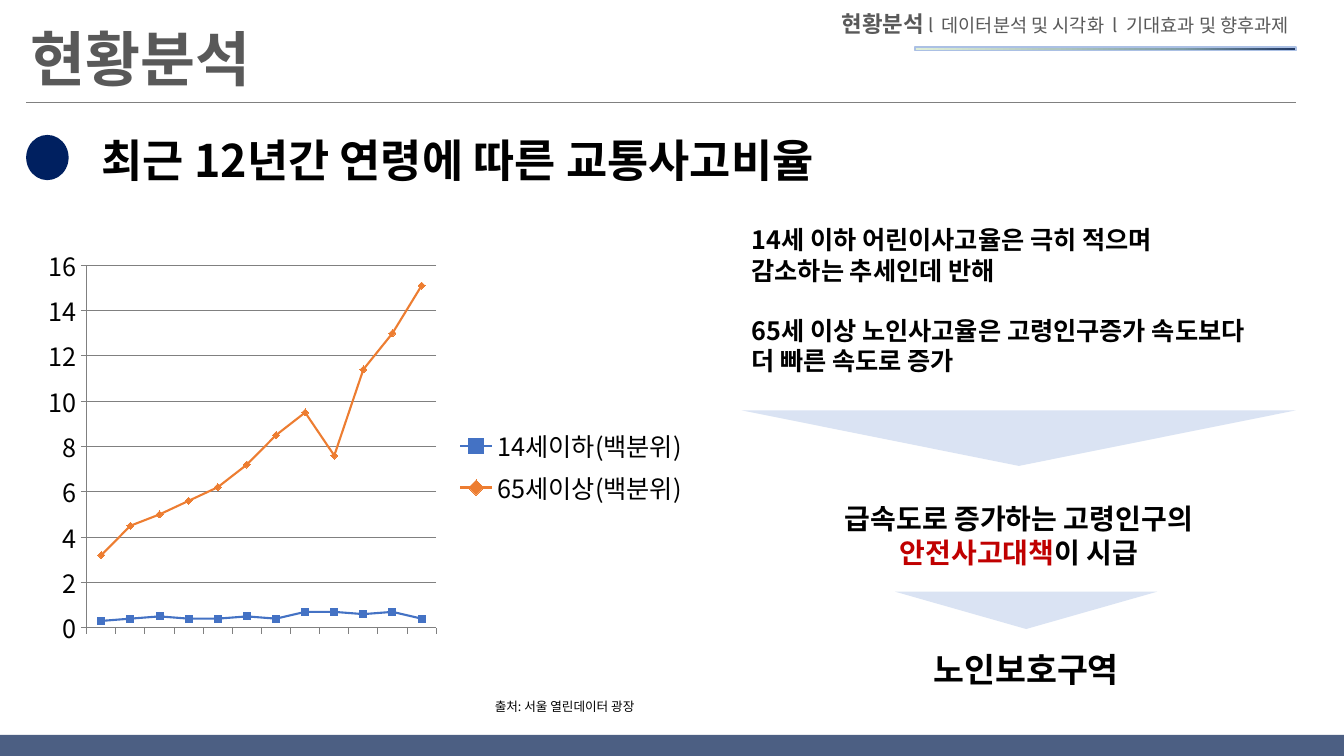
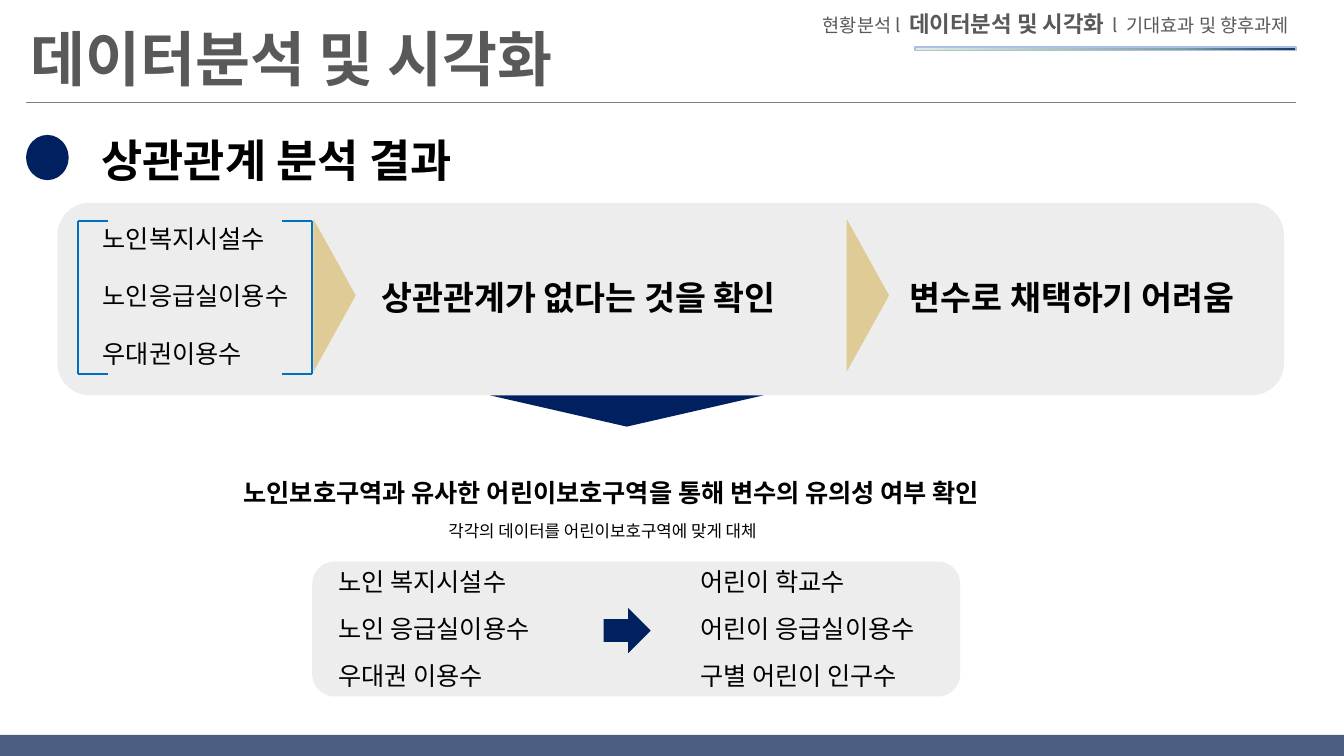
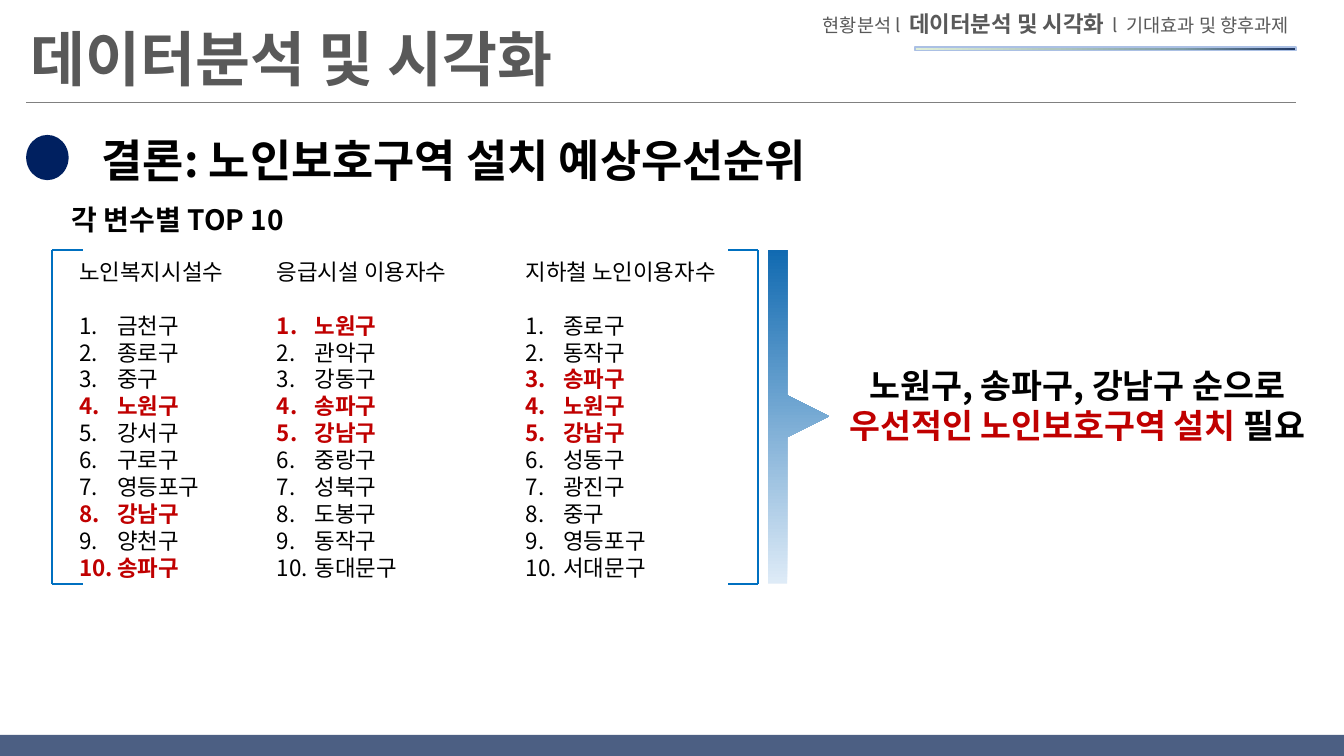
"""Build three slides on traffic accidents and senior protection zones."""
from lxml.etree import SubElement
from pptx import Presentation
from pptx.chart.data import CategoryChartData
from pptx.dml.color import RGBColor
from pptx.enum.chart import XL_CHART_TYPE, XL_LEGEND_POSITION, XL_MARKER_STYLE, XL_TICK_LABEL_POSITION, XL_TICK_MARK
from pptx.enum.shapes import MSO_CONNECTOR, MSO_SHAPE
from pptx.enum.text import MSO_ANCHOR, MSO_AUTO_SIZE, PP_ALIGN
from pptx.oxml.ns import qn
from pptx.util import Cm, Pt

FONT = "Noto Sans CJK KR"
COLORS = {
    "black": "000000", "title": "595959", "rule": "808080", "navy": "002060", "band": "203864",
    "red": "C00000", "pale": "DAE3F3", "panel": "EDEDED", "sand": "DFCB96", "bracket": "0070C0",
    "bar_line": "ABC0E4", "arrow_light": "DEEBF7", "arrow_dark": "116AB1",
    "children": "4472C4", "seniors": "ED7D31",
}
RGB = {name: RGBColor.from_string(value) for name, value in COLORS.items()}
BAR_STOPS = [(0, "203864"), (30, "7F9EA8"), (63, "AFC6BF"), (100, "DFEED6")]


def write(s, box, paras, size, bold=False, align=PP_ALIGN.LEFT, sp=None):
    """Fill a text box or placeholder; a run is (text, colour, bold, size)."""
    sp = sp or s.shapes.add_textbox(0, 0, 0, 0)
    sp.left, sp.top, sp.width, sp.height = map(Cm, box)
    tf = sp.text_frame
    tf.word_wrap, tf.auto_size = True, MSO_AUTO_SIZE.NONE
    tf.vertical_anchor = MSO_ANCHOR.TOP
    for i, runs in enumerate(paras):
        p = tf.add_paragraph() if i else tf.paragraphs[0]
        p.alignment, p.line_spacing = align, Pt(round(size * 1.2, 1))
        for run in runs:
            txt, color, strong, pts = run + ("black", bold, size)[len(run) - 1:]
            r = p.add_run()
            r.text = txt
            r.font.name, r.font.size, r.font.bold = FONT, Pt(pts), strong
            r.font.color.rgb = RGB[color]
            SubElement(r.font._element, qn("a:ea"), typeface=FONT)
    return tf


def shape(s, kind, box, color, rotation=0):
    """Add a plain filled shape."""
    sp = s.shapes.add_shape(kind, *map(Cm, box))
    sp.shadow.inherit = False
    sp.fill.solid()
    sp.fill.fore_color.rgb = RGB[color]
    sp.line.fill.background()
    sp.rotation = rotation
    return sp


prs = Presentation()
prs.slide_width, prs.slide_height = Cm(33.87), Cm(19.05)

sections = [("현황분석", " l  "), ("데이터분석 및 시각화", "  l  "), ("기대효과 및 향후과제", "")]
pages = [
    (0, 11.86, "최근 12년간 연령에 따른 교통사고비율"),
    (1, 17.17, "상관관계 분석 결과"),
    (1, 17.17, "결론: 노인보호구역 설치 예상우선순위"),
]
slides, lines = [], []
for active, title_width, heading in pages:
    s = prs.slides.add_slide(prs.slide_layouts[5])
    slides.append(s)
    title = sections[active][0]
    write(s, (0.51, 0.43, title_width, 2.08), [[(title, "title")]], 42.7, True, sp=s.shapes.title)
    lines.append((s, 0.66, 2.57, 32.66, 2.57, "rule", 0.5))

    band = shape(s, MSO_SHAPE.RECTANGLE, (0, 18.52, 33.87, 0.53), "band")
    SubElement(band._element.spPr.find(".//" + qn("a:srgbClr")), qn("a:alpha"), val="80000")

    bar = shape(s, MSO_SHAPE.RECTANGLE, (23.06, 1.19, 9.6, 0.08), "band")
    bar.line.color.rgb, bar.line.width = RGB["bar_line"], Pt(1)
    bar.fill.gradient()
    bar.fill.gradient_angle = 180
    stops = bar._element.spPr.find(".//" + qn("a:gsLst"))
    for stop in list(stops):
        stops.remove(stop)
    for pos, value in BAR_STOPS:
        SubElement(SubElement(stops, qn("a:gs"), pos=str(pos * 1000)), qn("a:srgbClr"), val=value)

    crumbs = []
    for i, (name, separator) in enumerate(sections):
        crumbs.append((name, "title", i == active, 16 if i == active else 13.3))
        if separator:
            crumbs.append((separator, "title", False, 13.3))
    write(s, (0.66, 0.13, 32.08, 0.94), [crumbs], 16, align=PP_ALIGN.RIGHT)

    shape(s, MSO_SHAPE.FLOWCHART_CONNECTOR, (0.66, 3.4, 1.07, 1.14), "navy")
    write(s, (2.31, 3.23, 21.2, 1.63), [[(heading,)]], 32, True)

s1, s2, s3 = slides

findings = ["14세 이하 어린이사고율은 극히 적으며", "감소하는 추세인데 반해",
            "65세 이상 노인사고율은 고령인구증가 속도보다", "더 빠른 속도로 증가"]
tf = write(s1, (18.69, 5.54, 14.33, 4.88), [[(line,)] for line in findings], 18, True)
tf.paragraphs[1].space_after = Pt(21.6)

data = CategoryChartData()
data.categories = [""] * 12
data.add_series("14세이하(백분위)", [0.3, 0.4, 0.5, 0.4, 0.4, 0.5, 0.4, 0.7, 0.7, 0.6, 0.7, 0.4])
data.add_series("65세이상(백분위)", [3.2, 4.5, 5, 5.6, 6.2, 7.2, 8.5, 9.5, 7.6, 11.4, 13, 15.1])
chart = s1.shapes.add_chart(XL_CHART_TYPE.LINE_MARKERS, Cm(0.66), Cm(6.12), Cm(16.94), Cm(11.28), data).chart
chart.has_title = False
chart.font.name, chart.font.size, chart.font.color.rgb = FONT, Pt(18), RGB["black"]
SubElement(chart.font._element, qn("a:ea"), typeface=FONT)
chart.has_legend = True
chart.legend.position, chart.legend.include_in_layout = XL_LEGEND_POSITION.RIGHT, False
for axis in (chart.category_axis, chart.value_axis):
    axis.major_tick_mark = XL_TICK_MARK.OUTSIDE
    axis.format.line.color.rgb = RGB["rule"]
chart.category_axis.tick_label_position = XL_TICK_LABEL_POSITION.NONE
chart.value_axis.minimum_scale, chart.value_axis.maximum_scale = 0, 16
chart.value_axis.major_unit = 2
chart.value_axis.major_gridlines.format.line.color.rgb = RGB["rule"]
chart.plots[0].vary_by_categories = False
looks = [("children", XL_MARKER_STYLE.SQUARE), ("seniors", XL_MARKER_STYLE.DIAMOND)]
for series, (color, marker) in zip(chart.plots[0].series, looks):
    series.smooth = False
    series.format.line.color.rgb, series.format.line.width = RGB[color], Pt(1.5)
    series.marker.style, series.marker.size = marker, 5
    series.marker.format.fill.solid()
    series.marker.format.fill.fore_color.rgb = RGB[color]
    series.marker.format.line.color.rgb = RGB[color]
area = chart._chartSpace.find(".//" + qn("c:plotArea"))
layout = area.find(qn("c:layout"))
if layout is None:
    layout = SubElement(area, qn("c:layout"))
    area.insert(0, layout)
manual = SubElement(layout, qn("c:manualLayout"))
for tag, value in (("layoutTarget", "inner"), ("xMode", "edge"), ("yMode", "edge"),
                   ("x", "0.09"), ("y", "0.05"), ("w", "0.52"), ("h", "0.81")):
    SubElement(manual, qn("c:" + tag), val=value)

for box in ((18.69, 10.34, 13.97, 1.4), (22.56, 14.91, 6.6, 0.94)):
    shape(s1, MSO_SHAPE.ISOSCELES_TRIANGLE, box, "pale", 180)
urgent = [[("급속도로 증가하는 고령인구의",)], [("안전사고대책", "red"), ("이 시급",)]]
write(s1, (20.55, 12.52, 10.26, 1.96), urgent, 20, True, PP_ALIGN.CENTER)
write(s1, (23.04, 16.23, 5.64, 1.27), [[("노인보호구역",)]], 24, True, PP_ALIGN.CENTER)
write(s1, (12.22, 17.5, 5.36, 0.64), [[("출처: 서울 열린데이터 광장",)]], 9)

shape(s2, MSO_SHAPE.ROUNDED_RECTANGLE, (1.45, 5.11, 30.91, 4.85), "panel")
shape(s2, MSO_SHAPE.ROUNDED_RECTANGLE, (7.87, 14.15, 16.33, 3.4), "panel")
shape(s2, MSO_SHAPE.ISOSCELES_TRIANGLE, (12.34, 9.96, 6.91, 0.79), "navy", 180)
shape(s2, MSO_SHAPE.RIGHT_ARROW, (15.21, 15.32, 1.19, 1.14), "navy")
for left in (6.5, 19.94):
    shape(s2, MSO_SHAPE.ISOSCELES_TRIANGLE, (left, 6.91, 3.86, 1.07), "sand", 90)
variables = [
    (2.34, 5.51, 1.44, ["노인복지시설수", "노인응급실이용수", "우대권이용수"]),
    (8.28, 14.15, 1.18, ["노인 복지시설수", "노인 응급실이용수", "우대권 이용수"]),
    (17.4, 14.15, 1.18, ["어린이 학교수", "어린이 응급실이용수", "구별 어린이 인구수"]),
]
for left, top, pitch, names in variables:
    for i, name in enumerate(names):
        write(s2, (left, top + i * pitch, 6.8, 1.02), [[(name,)]], 18)
write(s2, (9.37, 6.86, 11.73, 1.27), [[("상관관계가 없다는 것을 확인",)]], 24, True)
write(s2, (22.68, 6.86, 9.75, 1.27), [[("변수로 채택하기 어려움",)]], 24, True)
write(s2, (5.89, 11.91, 21.34, 1.02),
      [[("노인보호구역과 유사한 어린이보호구역을 통해 변수의 유의성 여부 확인",)]], 18, True)
write(s2, (11.05, 13, 9.5, 0.76), [[("각각의 데이터를 어린이보호구역에 맞게 대체",)]], 12)

write(s3, (1.55, 4.98, 6.45, 1.12), [[("각 변수별 TOP 10",)]], 20, True)
priority = ["노원구", "송파구", "강남구"]
rankings = [
    (1.75, 4.52, "노인복지시설수", "금천구 종로구 중구 노원구 강서구 구로구 영등포구 강남구 양천구 송파구"),
    (6.73, 5.79, "응급시설 이용자수", "노원구 관악구 강동구 송파구 강남구 중랑구 성북구 도봉구 동작구 동대문구"),
    (13, 5.79, "지하철 노인이용자수", "종로구 동작구 송파구 노원구 강남구 성동구 광진구 중구 영등포구 서대문구"),
]
for left, width, header, districts in rankings:
    paras = [[(header,)]]
    for name in districts.split():
        paras.append([(name, "red", True) if name in priority else (name,)])
    tf = write(s3, (left, 6.38, width, 8.64), paras, 16)
    tf.paragraphs[0].space_after = Pt(19.2)
    for p in tf.paragraphs[1:]:
        pPr = p._p.get_or_add_pPr()
        pPr.set("marL", str(Cm(0.95)))
        pPr.set("indent", str(-Cm(0.95)))
        SubElement(pPr, qn("a:buFont"), typeface="+mj-lt")
        SubElement(pPr, qn("a:buAutoNum"), type="arabicPeriod")

outline = [(19.84, 6.3), (19.84, 9.96), (20.9, 10.49), (19.84, 11.02), (19.84, 14.71), (19.35, 14.71)]
builder = s3.shapes.build_freeform(Cm(19.35), Cm(6.3))
builder.add_line_segments([(Cm(x), Cm(y)) for x, y in outline], close=True)
arrow = builder.convert_to_shape()
arrow.shadow.inherit = False
arrow.line.fill.background()
arrow.fill.gradient()
arrow.fill.gradient_angle = 90
for stop, color in zip(arrow.fill.gradient_stops, ("arrow_light", "arrow_dark")):
    stop.color.rgb = RGB[color]
conclusion = [("노원구, 송파구, 강남구 순으로 ",), ("우선적인 노인보호구역 설치", "red"), (" 필요",)]
write(s3, (21.03, 9.07, 12.24, 3.33), [conclusion], 24, True, PP_ALIGN.CENTER)

for s, left, right, top, bottom in ((s2, 1.96, 7.87, 5.56, 9.42), (s3, 1.32, 19.1, 6.3, 14.71)):
    for x, arm in ((left, 0.76), (right, -0.76)):
        lines.append((s, x, top, x, bottom, "bracket", 1.5))
        for y in (top, bottom):
            lines.append((s, x, y, x + arm, y, "bracket", 1.5))
for s, x1, y1, x2, y2, color, weight in lines:
    line = s.shapes.add_connector(MSO_CONNECTOR.STRAIGHT, Cm(x1), Cm(y1), Cm(x2), Cm(y2))
    line.line.color.rgb, line.line.width = RGB[color], Pt(weight)
    SubElement(line._element.spPr, qn("a:effectLst"))

prs.save("out.pptx")
